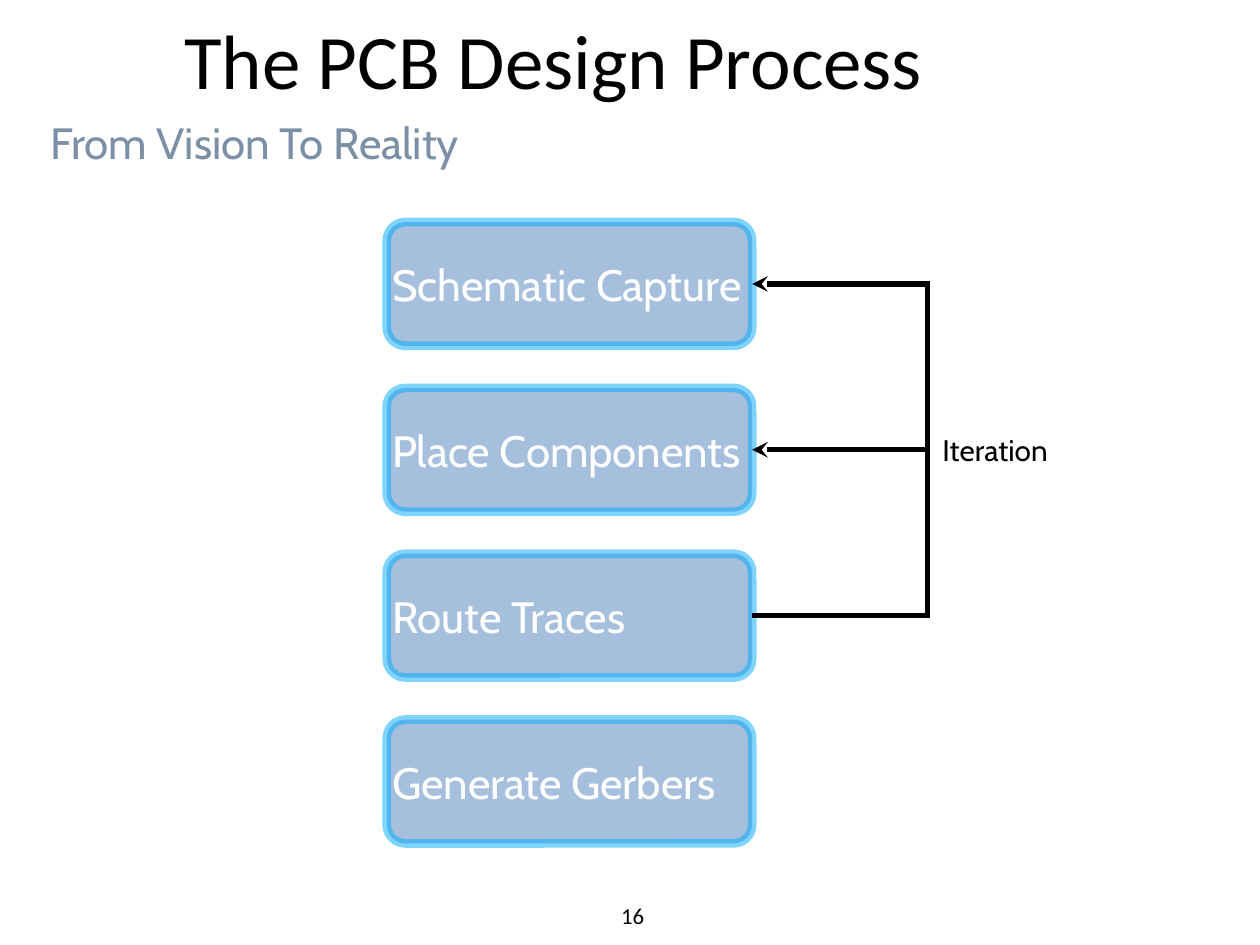
from dataclasses import dataclass
from typing import Optional

from lxml import etree
from pptx import Presentation
from pptx import util as u
from pptx.dml.color import RGBColor
from pptx.enum import shapes, text
from pptx.oxml.ns import qn

WIDTH, HEIGHT = u.Inches(10), u.Inches(7.5)
BLACK, WHITE = "000000", "FFFFFF"
SLATE, BOX_BLUE, EDGE_BLUE = "7B8FA5", "4F81BD", "00AAFD"
RIGHT_SIDE = 3
BUS_X = 73.6  # per cent of the slide width


@dataclass
class Area:
    """A rectangle in per cent of the slide's width and height."""
    left: float
    top: float
    width: float
    height: float

    def lengths(self) -> tuple:
        return (across(self.left), down(self.top),
                across(self.width), down(self.height))


@dataclass
class Step:
    label: str
    loop_arrow: Optional[str] = None  # None: no loop, "none": no arrowhead


STEPS = [
    Step("Schematic Capture", "stealth"),
    Step("Place Components", "stealth"),
    Step("Route Traces", "none"),
    Step("Generate Gerbers"),
]
FIRST_BOX = Area(30.7, 23.5, 29, 13.1)
STEP_PITCH = 17.55


def across(share: float) -> int:
    return int(WIDTH * share / 100)


def down(share: float) -> int:
    return int(HEIGHT * share / 100)


def color(hex_code: str) -> RGBColor:
    return RGBColor.from_string(hex_code)


def set_half_transparent(fill_parent) -> None:
    for value in fill_parent.findall(f"{qn('a:solidFill')}/{qn('a:srgbClr')}"):
        etree.SubElement(value, qn("a:alpha"), val="50000")


def write(shape, content: str, *, size: float, font: str = "Cabin",
          fill: str = BLACK, align=text.PP_ALIGN.LEFT,
          anchor=text.MSO_ANCHOR.MIDDLE, wrap: bool = True,
          insets: tuple = (0, 0)) -> None:
    """Fill a shape with one paragraph; insets are horizontal and vertical inches."""
    frame = shape.text_frame
    frame.word_wrap = wrap
    frame.auto_size = text.MSO_AUTO_SIZE.NONE
    frame.vertical_anchor = anchor
    frame.margin_left = frame.margin_right = u.Inches(insets[0])
    frame.margin_top = frame.margin_bottom = u.Inches(insets[1])
    paragraph = frame.paragraphs[0]
    paragraph.alignment = align
    run = paragraph.add_run()
    run.text = content
    run.font.size = u.Pt(size)
    run.font.name = font
    run.font.color.rgb = color(fill)


def add_text(slide, area: Area, content: str, **text_format) -> None:
    write(slide.shapes.add_textbox(*area.lengths()), content, **text_format)


def add_step_box(slide, step: Step, row: int):
    area = Area(FIRST_BOX.left, FIRST_BOX.top + row * STEP_PITCH,
                FIRST_BOX.width, FIRST_BOX.height)
    box = slide.shapes.add_shape(
        shapes.MSO_SHAPE.ROUNDED_RECTANGLE, *area.lengths())
    box.adjustments[0] = 0.15
    box.shadow.inherit = False
    box.fill.solid()
    box.fill.fore_color.rgb = color(BOX_BLUE)
    box.line.color.rgb = color(EDGE_BLUE)
    box.line.width = u.Pt(5)
    properties = box.element.spPr
    set_half_transparent(properties)
    set_half_transparent(properties.find(qn("a:ln")))
    write(box, step.label, size=25, fill=WHITE)
    return box


def add_line(slide, start: tuple, end: tuple, head: str = "none",
             cap: str = "flat"):
    line = slide.shapes.add_connector(
        shapes.MSO_CONNECTOR.STRAIGHT, *start, *end)
    line.line.color.rgb = color(BLACK)
    line.line.width = u.Pt(3)
    outline = line.line._get_or_add_ln()
    outline.set("cap", cap)
    etree.SubElement(outline, qn("a:headEnd"), type=head)
    etree.SubElement(line.element.spPr, qn("a:effectLst"))
    return line


def add_iteration_loop(slide, boxes: list) -> None:
    bus = across(BUS_X)
    levels = []
    for step, box in zip(STEPS, boxes):
        if step.loop_arrow is None:
            continue
        level = box.top + box.height // 2
        branch = add_line(slide, (box.left + box.width, level), (bus, level),
                          step.loop_arrow)
        branch.begin_connect(box, RIGHT_SIDE)
        levels.append(level)
    add_line(slide, (bus, levels[0]), (bus, levels[-1]), cap="sq")


def main() -> None:
    presentation = Presentation()
    presentation.slide_width, presentation.slide_height = WIDTH, HEIGHT
    slide = presentation.slides.add_slide(presentation.slide_layouts[5])

    title = slide.shapes.title
    title.left, title.top, title.width, title.height = Area(
        3.7, 0, 80.5, 12.4).lengths()
    write(title, "The PCB Design Process", size=44, font="Calibri",
          align=text.PP_ALIGN.CENTER, insets=(0.1, 0.05))
    add_text(slide, Area(4, 11.75, 80.3, 6.5), "From Vision To Reality",
             size=25, fill=SLATE)

    boxes = [add_step_box(slide, step, row) for row, step in enumerate(STEPS)]
    add_iteration_loop(slide, boxes)
    add_text(slide, Area(74.8, 45.6, 9.3, 3.9), "Iteration", size=17,
             wrap=False)
    add_text(slide, Area(48.6, 94.9, 2.6, 3.7), "16", size=13, font="Calibri",
             anchor=text.MSO_ANCHOR.TOP, wrap=False, insets=(0.07, 0.04))

    presentation.save("out.pptx")


if __name__ == "__main__":
    main()
